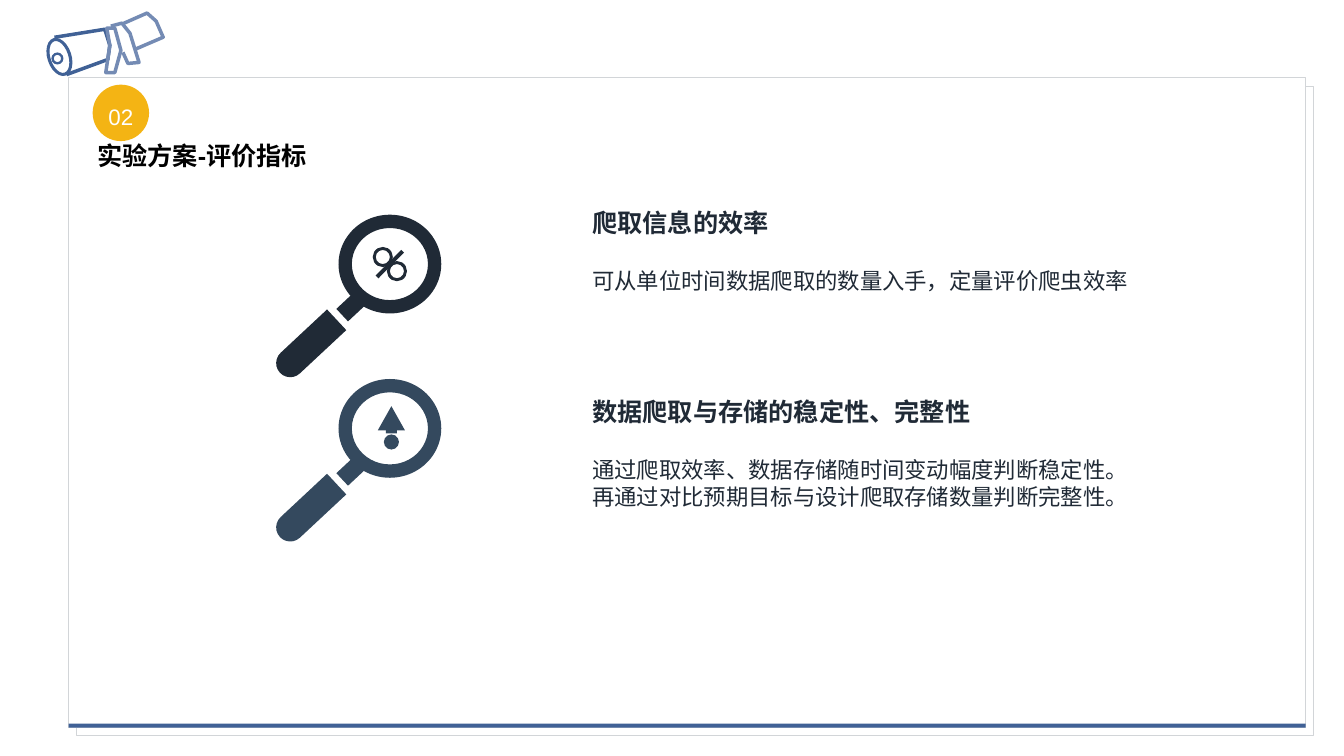
from pptx import Presentation, util as u
from pptx.dml.color import RGBColor
from pptx.enum import shapes, text
from pptx.oxml import xmlchemy as x

CELL = u.Inches(0.01)
NAVY, SLATE, BLUE, MIST, GOLD = "202A36", "34495E", "406196", "748BB4", "F4B414"
WHITE, GREY = "FFFFFF", "D2D5D8"
KIND = shapes.MSO_SHAPE


def tint(fill, colour):
    if colour:
        fill.solid()
        fill.fore_color.rgb = RGBColor.from_string(colour)
    else:
        fill.background()


def place(page, kind, left, top, width, height, colour, edge=None, turn=0, bend=None):
    box = page.shapes.add_shape(kind, left * CELL, top * CELL, width * CELL, height * CELL)
    box.shadow.inherit = False
    box.rotation = turn
    tint(box.fill, colour)
    tint(box.line.fill, edge)
    if edge:
        box.line.width = u.Pt(1)
    if bend:
        box.adjustments[0] = bend
    return box


deck = Presentation()
deck.slide_width, deck.slide_height = 1334 * CELL, 750 * CELL
page = deck.slides.add_slide(deck.slide_layouts[3])
title, first_body, second_body = page.placeholders

place(page, KIND.RECTANGLE, 76, 86, 1228, 644, None, GREY)
place(page, KIND.RECTANGLE, 68, 77, 1228, 645, WHITE, GREY)
place(page, KIND.RECTANGLE, 68, 718, 1228, 4, BLUE)

scroll = [
    (BLUE, [(54, 37), (104, 29), (109, 45), (107, 59), (66, 74)]),
    (MIST, [(121, 24), (146, 13), (155, 21), (162, 37), (134, 49)]),
    (MIST, [(106, 28), (109, 45), (105, 72), (114, 72), (120, 50), (114, 28), (106, 28)]),
    (MIST, [(110, 26), (121, 23), (129, 33), (138, 62), (127, 63), (122, 52)]),
]
for colour, points in scroll:
    builder = page.shapes.build_freeform(*points[0], scale=float(CELL))
    builder.add_line_segments(points[1:], close=False)
    stroke = builder.convert_to_shape()
    stroke.shadow.inherit = False
    tint(stroke.fill, None)
    tint(stroke.line.fill, colour)
    stroke.line.width = u.Pt(2.5)
place(page, KIND.DONUT, 47, 37, 24, 39, BLUE, turn=-18, bend=0.13)
place(page, KIND.DONUT, 51, 52, 12, 12, BLUE, bend=0.2)

for shift, colour in ((0, NAVY), (163, SLATE)):
    place(page, KIND.DONUT, 336, 213 + shift, 102, 98, colour, bend=0.135)
    place(page, KIND.RECTANGLE, 341, 290 + shift, 17, 27, colour, turn=47)
    place(page, KIND.ROUND_2_SAME_RECTANGLE, 292, 305 + shift, 28, 77, colour, turn=227, bend=0.5)

for left, top in ((370, 245), (384, 259)):
    place(page, KIND.DONUT, left, top, 20, 20, NAVY, bend=0.15)
place(page, KIND.RECTANGLE, 385, 244, 4, 36, NAVY, turn=45)

place(page, KIND.ISOSCELES_TRIANGLE, 375, 403, 27, 24, SLATE)
place(page, KIND.RECTANGLE, 383, 426, 11, 4, SLATE)
place(page, KIND.OVAL, 381, 431, 15, 15, SLATE)

badge = place(page, KIND.OVAL, 92, 84, 56, 56, GOLD)
frame = badge.text_frame
frame.margin_left = frame.margin_right = frame.margin_top = frame.margin_bottom = 0
frame.text = "02"
para = frame.paragraphs[0]
para.alignment = text.PP_ALIGN.CENTER
para.line_spacing = 1.3
para.font.name, para.font.size = "Arial", u.Pt(16)
tint(para.font.fill, WHITE)

blocks = [
    (title, 85, 134, 231, 40, "000000", ["实验方案-评价指标"]),
    (first_body, 578, 201, 559, 98, NAVY,
     ["爬取信息的效率", "可从单位时间数据爬取的数量入手，定量评价爬虫效率"]),
    (second_body, 578, 388, 537, 129, NAVY,
     ["数据爬取与存储的稳定性、完整性",
      "通过爬取效率、数据存储随时间变动幅度判断稳定性。再通过对比预期目标与设计爬取存储数量判断完整性。"]),
]
for box, left, top, width, height, colour, lines in blocks:
    box.left, box.top, box.width, box.height = (n * CELL for n in (left, top, width, height))
    box.element.getparent().append(box.element)
    frame = box.text_frame
    frame.text = "\n".join(lines)
    frame.word_wrap = True
    frame.auto_size = text.MSO_AUTO_SIZE.NONE
    frame.vertical_anchor = text.MSO_ANCHOR.TOP
    for row, para in enumerate(frame.paragraphs):
        para.alignment = text.PP_ALIGN.CENTER if box is title else text.PP_ALIGN.LEFT
        para.space_before = u.Pt(21 if row else 5 if box is title else 0)
        para.font.name, para.font.size = "Arial", u.Pt(16 if row else 18)
        para.font.bold = row == 0
        tint(para.font.fill, colour)
        settings = para._p.get_or_add_pPr()
        settings.set("marL", "0")
        settings.set("indent", "0")
        settings.insert_element_before(x.OxmlElement("a:buNone"), "a:tabLst", "a:defRPr", "a:extLst")

deck.save("out.pptx")
